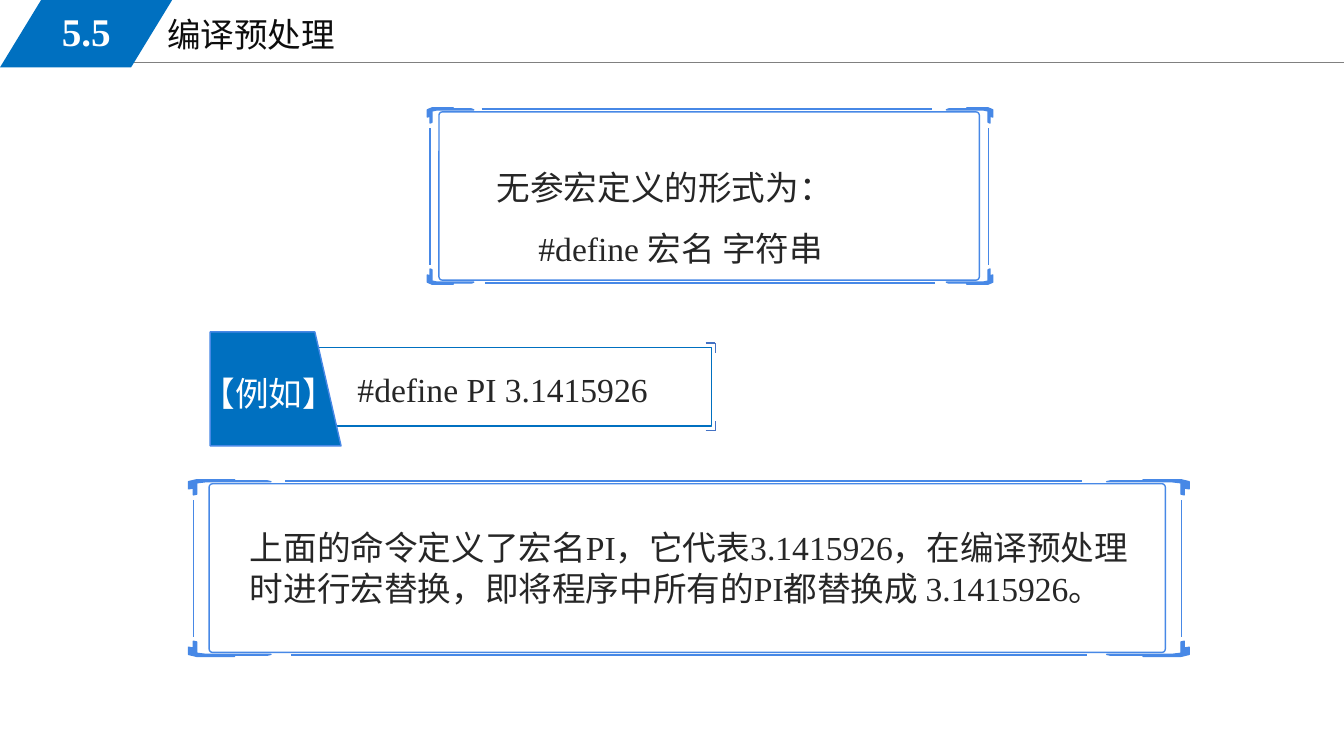
import pptx
import pptx.dml.color
import pptx.enum.shapes
import pptx.enum.text
import pptx.oxml.ns
import pptx.util
import lxml.etree

Cm = pptx.util.Cm
Pt = pptx.util.Pt
RGBColor = pptx.dml.color.RGBColor
Shape = pptx.enum.shapes.MSO_SHAPE
Align = pptx.enum.text.PP_ALIGN
Anchor = pptx.enum.text.MSO_ANCHOR

BLUE = RGBColor(0x00, 0x70, 0xC0)
FRAME_BLUE = RGBColor(0x47, 0x88, 0xE6)
BRACKET_BLUE = RGBColor(0x44, 0x72, 0xC4)
GRAY = RGBColor(0x80, 0x80, 0x80)
BLACK = RGBColor(0x0D, 0x0D, 0x0D)
DARK = RGBColor(0x26, 0x26, 0x26)
WHITE = RGBColor(0xFF, 0xFF, 0xFF)

presentation = pptx.Presentation()
presentation.slide_width = Cm(33.87)
presentation.slide_height = Cm(19.05)
slide = presentation.slides.add_slide(presentation.slide_layouts[6])
shapes = slide.shapes


def add_line(start_x, start_y, end_x, end_y, color, width=1):
    connector = shapes.add_connector(
        pptx.enum.shapes.MSO_CONNECTOR.STRAIGHT,
        Cm(start_x), Cm(start_y), Cm(end_x), Cm(end_y))
    connector.line.color.rgb = color
    connector.line.width = Pt(width)
    lxml.etree.SubElement(connector._element.spPr, pptx.oxml.ns.qn("a:effectLst"))


def style_shape(shape, fill, line):
    shape.shadow.inherit = False
    if fill is None:
        shape.fill.background()
    else:
        shape.fill.solid()
        shape.fill.fore_color.rgb = fill
    if line is None:
        shape.line.fill.background()
    else:
        shape.line.color.rgb = line
        shape.line.width = Pt(1)


add_line(2.87, 1.57, 33.87, 1.57, GRAY, 0.75)
number_tab = shapes.add_shape(Shape.PARALLELOGRAM, 0, 0, Cm(4.34), Cm(1.7))
number_tab.adjustments[0] = 0.61
style_shape(number_tab, BLUE, None)

example_box = shapes.add_shape(Shape.RECTANGLE, Cm(7.09), Cm(8.76), Cm(10.85), Cm(1.98))
style_shape(example_box, None, BLUE)
example_tab = shapes.add_shape(
    Shape.FLOWCHART_MANUAL_INPUT, Cm(5.51), Cm(8.15), Cm(2.87), Cm(3.3))
example_tab.rotation = 90
style_shape(example_tab, BLUE, FRAME_BLUE)

for outer_y, inner_y in [(8.64, 8.89), (10.85, 10.62)]:
    add_line(17.78, outer_y, 18.03, outer_y, BRACKET_BLUE)
    add_line(18.03, outer_y, 18.03, inner_y, BRACKET_BLUE)

corner_outline = [
    (0.1, 0), (0.56, 0), (0.5, 0.07), (0.95, 0.07), (1, 0.13), (0.21, 0.13),
    (0.1, 0.2), (0.1, 0.95), (0.06, 1), (0.06, 0.55), (0, 0.6), (0, 0.13)]
corner_height = 0.38
frames = [(10.77, 2.72, 25.02, 7.16, 1.17), (4.75, 12.09, 29.97, 16.54, 2.08)]

for left, top, right, bottom, corner in frames:
    panel_left = left + 0.25 * corner
    panel_width = right - 0.29 * corner - panel_left
    panel = shapes.add_shape(
        Shape.ROUNDED_RECTANGLE, Cm(panel_left), Cm(top + 0.1),
        Cm(panel_width), Cm(bottom - top - 0.2))
    panel.adjustments[0] = 0.02
    style_shape(panel, None, FRAME_BLUE)

    for corner_x, side_x in [(left, 1), (right, -1)]:
        for corner_y, side_y in [(top, 1), (bottom, -1)]:
            points = [
                (Cm(corner_x + side_x * x * corner),
                 Cm(corner_y + side_y * y * corner_height))
                for x, y in corner_outline]
            builder = shapes.build_freeform(*points[0])
            builder.add_line_segments(points[1:], close=True)
            style_shape(builder.convert_to_shape(), FRAME_BLUE, FRAME_BLUE)

    add_line(left + 1.17 * corner, top + 0.03, right - 1.3 * corner, top + 0.03, FRAME_BLUE)
    add_line(left + 1.24 * corner, bottom - 0.03, right - 1.24 * corner, bottom - 0.03, FRAME_BLUE)
    for edge_x in (left + 0.06 * corner, right - 0.09 * corner):
        add_line(edge_x, top + 0.51, edge_x, bottom - 0.49, FRAME_BLUE)

texts = [
    ((3.96, 0.23, 14.4, 1.3), ["编译预处理"], {"color": BLACK}),
    ((0.64, 0.05, 3.07, 1.47), ["5.5"],
     {"color": WHITE, "size": 28, "bold": True, "align": Align.CENTER,
      "anchor": Anchor.MIDDLE}),
    ((4.83, 9.27, 3.94, 1.27), ["【例如】"], {"color": WHITE}),
    ((8.76, 9.17, 8.81, 1.27), ["#define PI 3.1415926"], {}),
    ((12.27, 3.58, 12.75, 3), ["无参宏定义的形式为：", "#define 宏名 字符串"],
     {"spacing": 1.5, "indent": 1.05}),
    ((6.05, 13.16, 23.09, 2.31),
     ["上面的命令定义了宏名PI，它代表3.1415926，在编译预处理时进行宏替换，"
      "即将程序中所有的PI都替换成 3.1415926。"], {}),
]

for position, lines, options in texts:
    text_box = shapes.add_textbox(*[Cm(length) for length in position])
    text_frame = text_box.text_frame
    text_frame.word_wrap = True
    text_frame.vertical_anchor = options.get("anchor", Anchor.TOP)
    text_frame.text = "\n".join(lines)
    font_format = {
        "name": "Times New Roman",
        "size": Pt(options.get("size", 24)),
        "bold": options.get("bold", False),
    }
    for index, paragraph in enumerate(text_frame.paragraphs):
        paragraph.alignment = options.get("align", Align.LEFT)
        paragraph.line_spacing = options.get("spacing", 1.0)
        if index:
            paragraph._p.get_or_add_pPr().set("marL", str(Cm(options["indent"])))
        font = paragraph.runs[0].font
        for attribute, value in font_format.items():
            setattr(font, attribute, value)
        font.color.rgb = options.get("color", DARK)

presentation.save("out.pptx")
